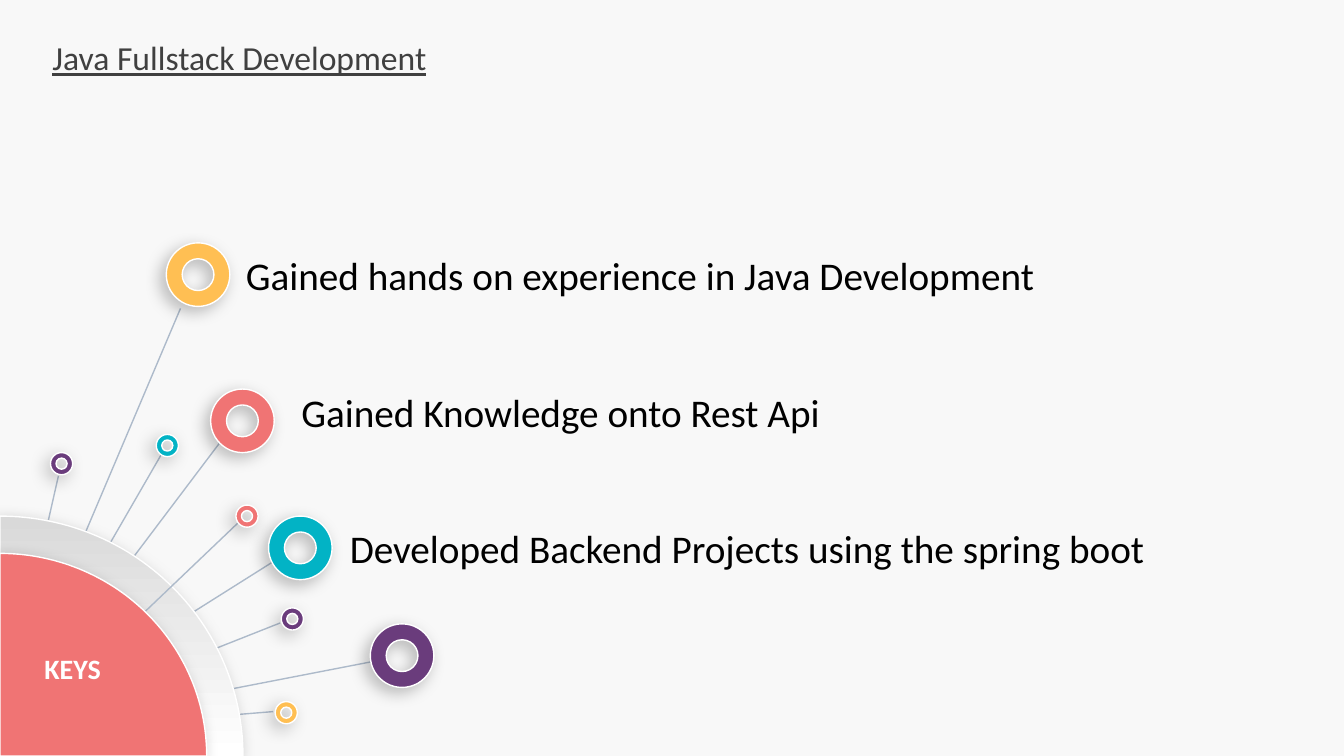
from math import cos, pi, sin

from lxml.etree import SubElement
from pptx import Presentation
from pptx.dml.color import RGBColor
from pptx.enum.shapes import MSO_CONNECTOR, MSO_SHAPE
from pptx.enum.text import MSO_ANCHOR, MSO_AUTO_SIZE, PP_ALIGN
from pptx.oxml.ns import qn
from pptx.util import Emu, Inches, Pt

PAPER = RGBColor(0xF8, 0xF8, 0xF8)
WHITE = RGBColor(0xFF, 0xFF, 0xFF)
BLACK = RGBColor(0x00, 0x00, 0x00)
CHARCOAL = RGBColor(0x40, 0x40, 0x40)
SILVER = RGBColor(0xD9, 0xD9, 0xD9)
SPOKE = RGBColor(0xAD, 0xBA, 0xCA)
CORAL = RGBColor(0xF0, 0x74, 0x74)
TEAL = RGBColor(0x02, 0xB3, 0xC5)
PURPLE = RGBColor(0x6A, 0x3C, 0x7C)
AMBER = RGBColor(0xFF, 0xBF, 0x53)

deck = Presentation()
deck.slide_width, deck.slide_height = Emu(12192000), Inches(7.5)
COLUMN = deck.slide_width / 100
ROW = deck.slide_height / 100
slide = deck.slides.add_slide(deck.slide_layouts[5])
slide.background.fill.solid()
slide.background.fill.fore_color.rgb = PAPER


def box(*shares):
    return [Emu(round(share * (ROW if i % 2 else COLUMN))) for i, share in enumerate(shares)]


def write(frame, text, color, align, inset, font_format):
    frame.text = text
    frame_format = {
        "word_wrap": True, "auto_size": MSO_AUTO_SIZE.NONE, "vertical_anchor": MSO_ANCHOR.TOP,
        "margin_left": inset, "margin_right": inset,
        "margin_top": inset // 2, "margin_bottom": inset // 2,
    }
    for name, value in frame_format.items():
        setattr(frame, name, value)
    paragraph = frame.paragraphs[0]
    paragraph.alignment = align
    paragraph.line_spacing = 1.0
    font = paragraph.runs[0].font
    font.color.rgb = color
    for name, value in {"name": "Calibri", **font_format}.items():
        setattr(font, name, value)


heading = slide.shapes.title
for name, value in zip(("left", "top", "width", "height"), box(3.15, 4.27, 34.88, 6.8)):
    setattr(heading, name, value)
write(heading.text_frame, "Java Fullstack Development", CHARCOAL, PP_ALIGN.LEFT,
      Inches(0.1), {"size": Pt(24), "underline": True})

HUB = (0, 97.07)
under_rim = [
    (20.33, 94.13), (4.35, 62.93), (12, 60.13), (20.85, 82.4),
    (13.43, 40.8), (16.65, 57.87), (20.48, 74.13), (27.83, 87.47),
]
layers = [
    ([(tip, HUB) for tip in under_rim], (18.08, 31.73), None),
    ([((17.85, 68.93), (0, 99.2))], (15.38, 26.8), CORAL),
]
raised = []
for spokes, (across, up), color in layers:
    for tip, root in spokes:
        spoke = slide.shapes.add_connector(MSO_CONNECTOR.STRAIGHT, *box(*tip, *root))
        spoke.line.color.rgb = SPOKE
        spoke.line.width = Pt(1)
        SubElement(spoke._element.spPr, qn("a:effectLst"))
    angles = [pi / 2 * step / 60 for step in range(61)]
    curve = [box(across * sin(angle), 100 - up * cos(angle)) for angle in angles]
    outline = slide.shapes.build_freeform(*box(0, 100), scale=1.0)
    outline.add_line_segments(curve, close=True)
    quarter = outline.convert_to_shape()
    if color is None:
        quarter.fill.gradient()
        quarter.fill.gradient_angle = 90
        for stop, shade in zip(quarter.fill.gradient_stops, (WHITE, SILVER)):
            stop.color.rgb = shade
    else:
        quarter.fill.solid()
        quarter.fill.fore_color.rgb = color
    raised.append(quarter)

LARGE, SMALL = 4.73, 1.65
rings = [
    (12.45, 58.93, SMALL, TEAL), (18.38, 68.27, SMALL, CORAL), (21.75, 81.87, SMALL, PURPLE),
    (29.92, 86.73, LARGE, PURPLE), (14.74, 36.33, LARGE, AMBER), (18.04, 55.67, LARGE, CORAL),
    (22.35, 72.47, LARGE, TEAL), (4.58, 61.33, SMALL, PURPLE), (21.3, 94.27, SMALL, AMBER),
]
for x, y, columns, color in rings:
    rows = columns * COLUMN / ROW
    ring = slide.shapes.add_shape(
        MSO_SHAPE.DONUT, *box(x - columns / 2, y - rows / 2, columns, rows))
    ring.adjustments[0] = 0.25
    ring.fill.solid()
    ring.fill.fore_color.rgb = color
    raised.append(ring)

for part in raised:
    part.line.color.rgb = WHITE
    part.line.width = Pt(1)
    part.shadow.inherit = False
    effects = part._element.spPr.find(qn("a:effectLst"))
    shadow = SubElement(effects, qn("a:outerShdw"), blurRad=str(Pt(12)), dist=str(Pt(5)),
                        dir="8100000", algn="tr", rotWithShape="0")
    tint = SubElement(shadow, qn("a:srgbClr"), val=str(BLACK))
    SubElement(tint, qn("a:alpha"), val="26000")

POINT = (BLACK, PP_ALIGN.LEFT, 0, {"size": Pt(28)})
texts = [
    ("KEYS", (0.68, 85.47, 9.45, 5.87),
     (WHITE, PP_ALIGN.CENTER, Inches(0.1), {"size": Pt(20), "bold": True})),
    ("Gained hands on experience in Java Development", (18.3, 33.2, 76.73, 6.27), POINT),
    ("Gained Knowledge onto Rest Api", (22.43, 51.33, 41.1, 6.27), POINT),
    ("Developed Backend Projects using the spring boot", (26.03, 69.33, 73.28, 6.27), POINT),
]
for text, area, style in texts:
    write(slide.shapes.add_textbox(*box(*area)).text_frame, text, *style)

deck.save("out.pptx")
